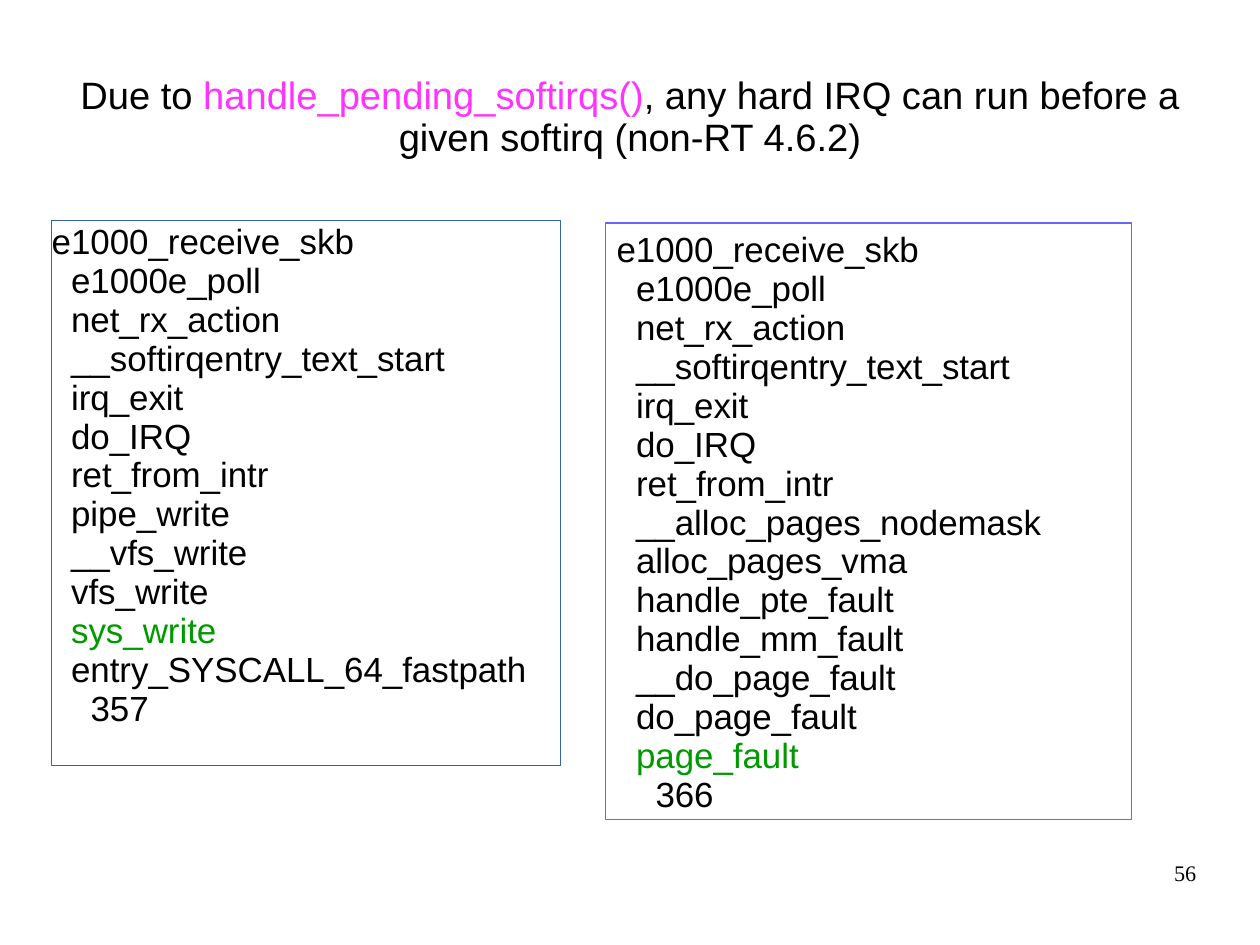
from dataclasses import dataclass

from lxml.etree import SubElement
from pptx import Presentation
from pptx.dml.color import RGBColor as Rgb
from pptx.enum.text import MSO_ANCHOR as Anchor, MSO_AUTO_SIZE as Fit, PP_ALIGN as Align
from pptx.oxml.ns import qn
from pptx.util import Cm, Inches, Pt


@dataclass(frozen=True)
class Theme:
    sans: str = "Arial"
    serif: str = "Times New Roman"
    black: str = "000000"
    pink: str = "FF33FF"
    green: str = "009900"
    blue: str = "3465A4"
    violet: str = "6666FF"
    head: int = 24
    code: int = 22
    page: int = 14
    edge: float = 0.75
    lead: float = 0.93


look = Theme()
deck = Presentation()
deck.slide_width = Cm(28)
deck.slide_height = Cm(21)
col, row = deck.slide_width / 100, deck.slide_height / 100
slide = deck.slides.add_slide(deck.slide_layouts[1])


def place(box, x, y, w, h, pad, anchor=Anchor.TOP):
    """Set a box on the 100 by 100 grid and return its text frame."""
    box.left, box.width = round(x * col), round(w * col)
    box.top, box.height = round(y * row), round(h * row)
    frame = box.text_frame
    frame.word_wrap, frame.auto_size = True, Fit.NONE
    frame.vertical_anchor = anchor
    (frame.margin_left, frame.margin_top,
     frame.margin_right, frame.margin_bottom) = map(Inches, pad)
    return frame


def write(para, parts, size, font=look.sans, align=Align.LEFT, step=0):
    """Fill a paragraph with (text, colour) runs, indented by whole steps."""
    para.alignment, para.line_spacing = align, look.lead
    para.space_before = para.space_after = Pt(0)
    props = para._p.get_or_add_pPr()
    props.set("marL", str(Inches(0.17) * step))
    props.set("indent", "0")
    SubElement(props, qn("a:buNone"))
    for text, tint in parts:
        run = para.add_run()
        run.text = text
        run.font.name, run.font.size = font, Pt(size)
        run.font.color.rgb = Rgb.from_string(tint)


# Title
frame = place(slide.shapes.title, 5, 4, 90, 16.7, (0, 0.02, 0, 0), Anchor.MIDDLE)
write(frame.paragraphs[0], [
    ("Due to ", look.black),
    ("handle_pending_softirqs()", look.pink),
    (", any hard IRQ can run before a given softirq (non-RT 4.6.2)", look.black),
], look.head, align=Align.CENTER)

# Call stacks: shared calls, then each path's own calls and its count
shared = ["e1000_receive_skb", "e1000e_poll", "net_rx_action",
          "__softirqentry_text_start", "irq_exit", "do_IRQ", "ret_from_intr"]
sys_path = ["pipe_write", "__vfs_write", "vfs_write", "sys_write",
            "entry_SYSCALL_64_fastpath", "357"]
fault_path = ["__alloc_pages_nodemask", "alloc_pages_vma", "handle_pte_fault",
              "handle_mm_fault", "__do_page_fault", "do_page_fault",
              "page_fault", "366"]
entries = {"sys_write", "page_fault"}

body = slide.placeholders[1]
panel = slide.shapes.add_textbox(0, 0, 0, 0)
stacks = [
    (body, (4.1, 23.35, 40.4, 57.65), (0, 0.02, 0, 0), look.blue, sys_path),
    (panel, (48.05, 23.6, 41.75, 63.1), (0.1, 0.07, 0.1, 0.05), look.violet, fault_path),
]
for box, area, pad, edge, tail in stacks:
    frame = place(box, *area, pad)
    box.line.color.rgb = Rgb.from_string(edge)
    box.line.width = Pt(look.edge)
    calls = shared + tail
    for i, call in enumerate(calls):
        para = frame.add_paragraph() if i else frame.paragraphs[0]
        step = 0 if i == 0 else 2 if i == len(calls) - 1 else 1
        tint = look.green if call in entries else look.black
        write(para, [(call, tint)], look.code, step=step)

# Page number
frame = place(slide.shapes.add_textbox(0, 0, 0, 0), 71.65, 91.2, 23.3, 6.9, (0, 0, 0, 0))
write(frame.paragraphs[0], [("56", look.black)], look.page, look.serif, Align.RIGHT)

deck.save("out.pptx")
